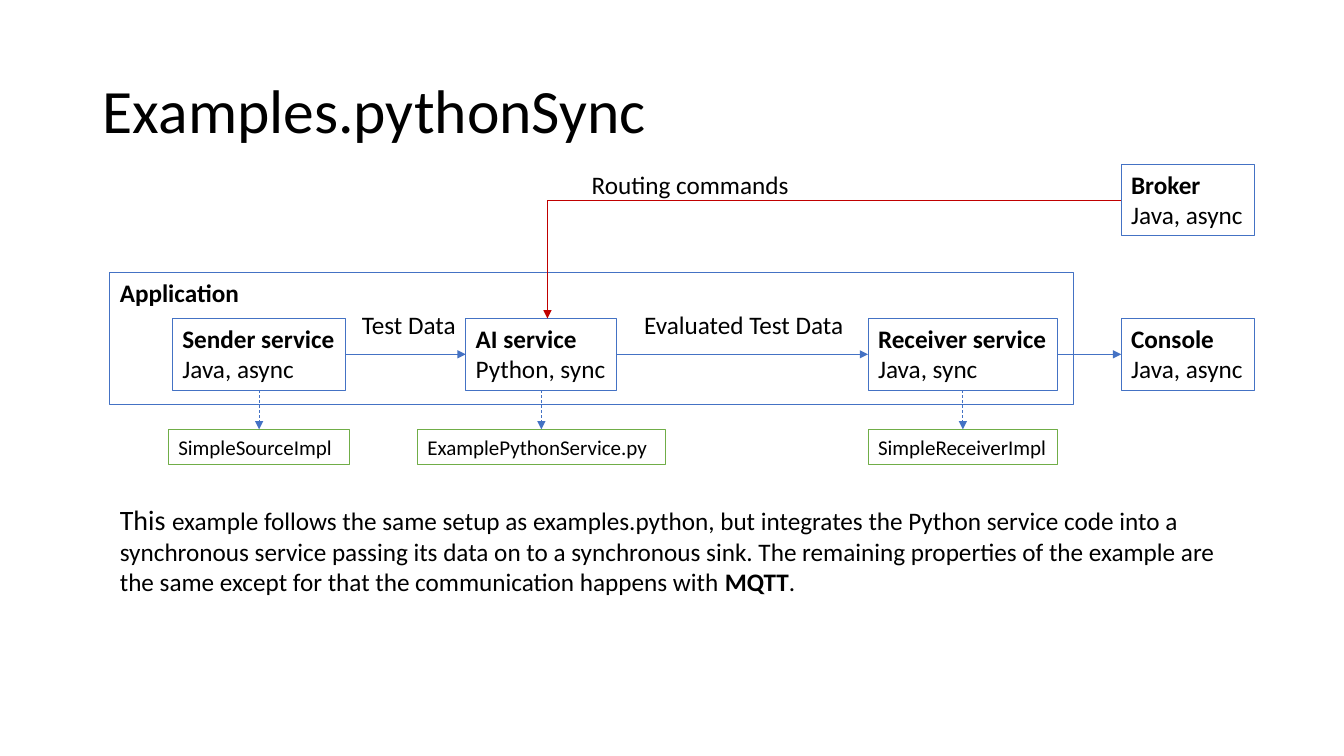
"""Build the Examples.pythonSync slide with its service flow diagram."""
from lxml.etree import SubElement
from pptx import Presentation
from pptx.dml.color import RGBColor
from pptx.enum.dml import MSO_LINE_DASH_STYLE as Dash
from pptx.enum.shapes import MSO_CONNECTOR as Link, MSO_SHAPE as Shape
from pptx.enum.text import MSO_ANCHOR as Anchor, PP_ALIGN as Align
from pptx.oxml.ns import qn
from pptx.util import Inches, Pt

BLUE, GREEN, RED, BLACK = "4472C4", "70AD47", "C00000", "000000"
SERVICE_TOP, SERVICE_HEIGHT = 3.16, 0.71
BROKER_TOP, IMPL_TOP, IMPL_HEIGHT = 1.63, 4.26, 0.35
LABEL_HEIGHT = 0.4


def write(box, text, size, wrap=False, bold_first=False):
    """Fill a box with left-aligned text from its top edge."""
    frame = box.text_frame
    frame.text = text
    frame.word_wrap = wrap
    frame.vertical_anchor = Anchor.TOP
    for index, para in enumerate(frame.paragraphs):
        para.alignment = Align.LEFT
        for span in para.runs:
            span.font.name = "Calibri"
            span.font.size = Pt(size)
            span.font.bold = bold_first and index == 0
            span.font.color.rgb = RGBColor.from_string(BLACK)


def style_arrow(arrow, color):
    """Give a connector a thin line and a triangle at its end."""
    arrow.line.color.rgb = RGBColor.from_string(color)
    arrow.line.width = Pt(0.5)
    SubElement(arrow.line._get_or_add_ln(), qn("a:tailEnd"), type="triangle")
    SubElement(arrow._element.spPr, qn("a:effectLst"))


deck = Presentation()
deck.slide_width, deck.slide_height = Inches(13.33), Inches(7.5)
page = deck.slides.add_slide(deck.slide_layouts[5])

title = page.shapes.title
title.left, title.top, title.width, title.height = map(Inches, (0.92, 0.4, 11.5, 1.45))
write(title, "Examples.pythonSync", 44, wrap=True)
title.text_frame.vertical_anchor = Anchor.MIDDLE
title.text_frame.paragraphs[0].line_spacing = 0.9

boxes = {}
for text, left, top, width, height, color, size in (
    ("Application", 1.09, 2.7, 9.56, 1.31, BLUE, 18),
    ("Sender service\nJava, async", 1.71, SERVICE_TOP, 1.72, SERVICE_HEIGHT, BLUE, 18),
    ("AI service\nPython, sync", 4.62, SERVICE_TOP, 1.5, SERVICE_HEIGHT, BLUE, 18),
    ("Receiver service\nJava, sync", 8.61, SERVICE_TOP, 1.88, SERVICE_HEIGHT, BLUE, 18),
    ("Console\nJava, async", 11.12, SERVICE_TOP, 1.32, SERVICE_HEIGHT, BLUE, 18),
    ("Broker\nJava, async", 11.12, BROKER_TOP, 1.32, SERVICE_HEIGHT, BLUE, 18),
    ("SimpleSourceImpl", 1.67, IMPL_TOP, 1.8, IMPL_HEIGHT, GREEN, 15),
    ("ExamplePythonService.py", 4.14, IMPL_TOP, 2.46, IMPL_HEIGHT, GREEN, 15),
    ("SimpleReceiverImpl", 8.61, IMPL_TOP, 1.88, IMPL_HEIGHT, GREEN, 15),
):
    box = page.shapes.add_shape(Shape.RECTANGLE, *map(Inches, (left, top, width, height)))
    box.shadow.inherit = False
    box.fill.background()
    box.line.color.rgb = RGBColor.from_string(color)
    box.line.width = Pt(0.75)
    write(box, text, size, bold_first=color == BLUE)
    boxes[text.split("\n")[0]] = box

for text, left, top, width in (
    ("Test Data", 3.49, 3.02, 1.14),
    ("Evaluated Test Data", 6.29, 3.02, 2.2),
    ("Routing commands", 5.77, BROKER_TOP, 2.24),
):
    label = page.shapes.add_textbox(*map(Inches, (left, top, width, LABEL_HEIGHT)))
    write(label, text, 18)

for source, target, start_side, end_side in (
    ("Sender service", "AI service", 3, 1),
    ("AI service", "Receiver service", 3, 1),
    ("Receiver service", "Console", 3, 1),
    ("Sender service", "SimpleSourceImpl", 2, 0),
    ("AI service", "ExamplePythonService.py", 2, 0),
    ("Receiver service", "SimpleReceiverImpl", 2, 0),
):
    arrow = page.shapes.add_connector(Link.STRAIGHT, 0, 0, 0, 0)
    arrow.begin_connect(boxes[source], start_side)
    arrow.end_connect(boxes[target], end_side)
    if start_side == 2:
        arrow.line.dash_style = Dash.DASH
    style_arrow(arrow, BLUE)

routing = page.shapes.add_connector(
    Link.ELBOW, *map(Inches, (11.12, BROKER_TOP + SERVICE_HEIGHT / 2, 5.43, SERVICE_TOP))
)
routing._element.spPr.find(qn("a:prstGeom")).set("prst", "bentConnector2")
style_arrow(routing, RED)

description = page.shapes.add_textbox(*map(Inches, (1.09, 4.94, 11.35, 1.04)))
write(description, "This ", 20, wrap=True)
para = description.text_frame.paragraphs[0]
for text, bold in (
    ("example follows the same setup as examples.python, but integrates the Python service "
     "code into a synchronous service passing its data on to a synchronous sink. The remaining "
     "properties of the example are the same except for that the communication happens with ", False),
    ("MQTT", True),
    (".", False),
):
    span = para.add_run()
    span.text = text
    span.font.name = "Calibri"
    span.font.size = Pt(18)
    span.font.bold = bold
    span.font.color.rgb = RGBColor.from_string(BLACK)

deck.save("out.pptx")
